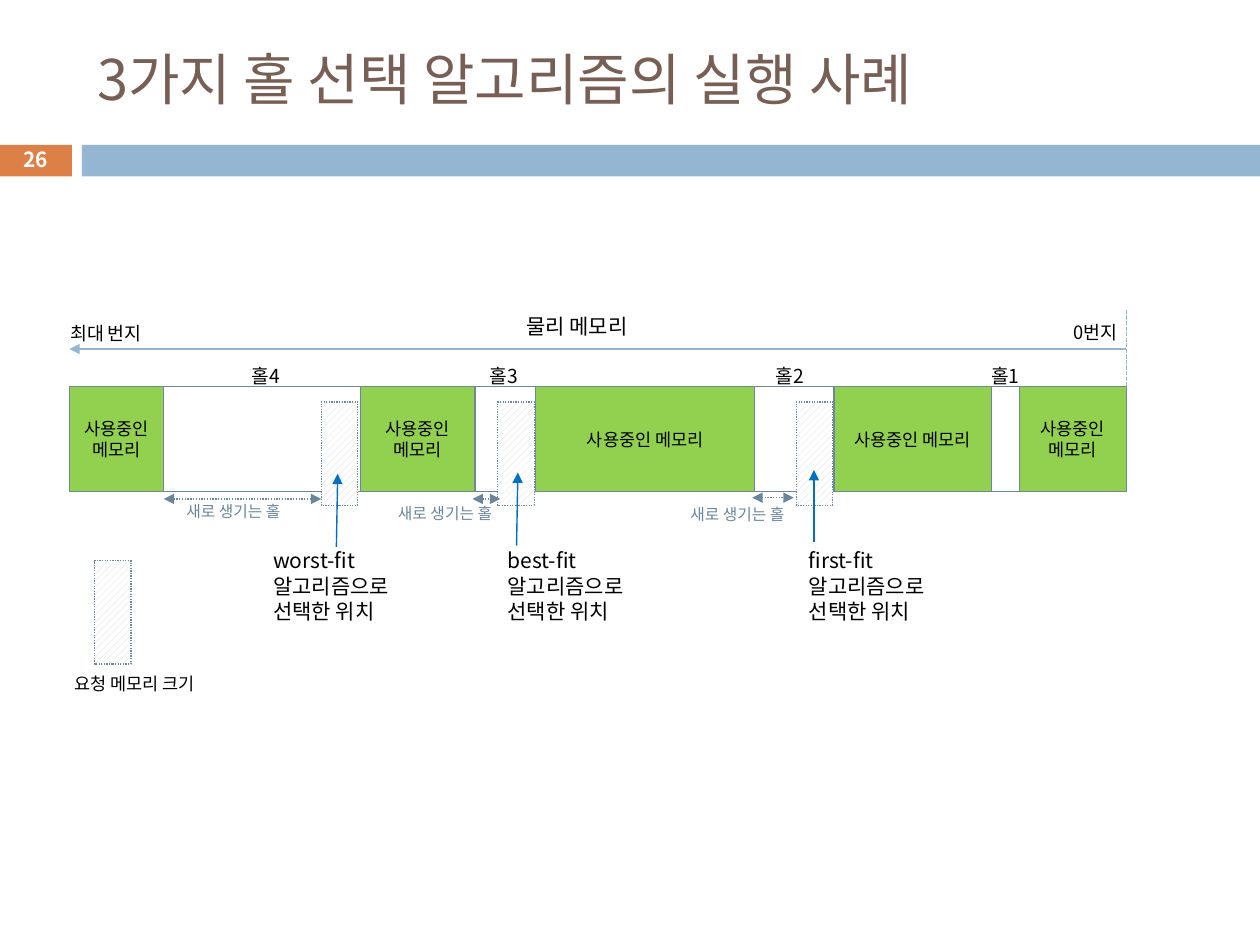
from lxml.etree import SubElement
from pptx import Presentation
from pptx.dml.color import RGBColor
from pptx.enum.dml import MSO_LINE_DASH_STYLE as DASH, MSO_PATTERN_TYPE as PATTERN
from pptx.enum.shapes import MSO_CONNECTOR as CONNECTOR, MSO_SHAPE as SHAPE
from pptx.enum.text import MSO_ANCHOR as ANCHOR, PP_ALIGN as ALIGN
from pptx.oxml.ns import qn
from pptx.util import Inches, Pt

FONT = "Noto Sans CJK KR"
BLACK = RGBColor(0x00, 0x00, 0x00)
WHITE = RGBColor(0xFF, 0xFF, 0xFF)
BROWN = RGBColor(0x77, 0x5F, 0x55)
ORANGE = RGBColor(0xDD, 0x80, 0x47)
SKY = RGBColor(0x94, 0xB6, 0xD2)
GREEN = RGBColor(0x92, 0xD0, 0x50)
SLATE = RGBColor(0x6D, 0x87, 0x9B)
STEEL = RGBColor(0x6B, 0x85, 0x9A)
BLUE = RGBColor(0x00, 0x70, 0xC0)
HATCH = RGBColor(0xD9, 0xD9, 0xD9)

MEMORY_TOP, MEMORY_HEIGHT = 3.07, 0.83
# Used blocks and holes alternate between these edges, used block first.
MEMORY_EDGES = [0.55, 1.3, 2.86, 3.77, 4.25, 5.99, 6.62, 7.87, 8.09, 8.94]
HOLE_LABELS = [("홀4", 1.89), ("홀3", 3.78), ("홀2", 6.05), ("홀1", 7.76)]
REQUEST_WIDTH, REQUEST_HEIGHT = 0.29, 0.82
# algorithm, label left, request left, pointer (from, to), new hole (start, end, y), its label (left, top)
FITS = [
    ("worst-fit", 2.07, 2.55, ((2.67, 4.34), (2.68, 3.76)), (1.3, 2.55, 3.96), (1.38, 3.93)),
    ("best-fit", 3.93, 3.95, ((4.1, 4.33), (4.11, 3.75)), (3.75, 3.97, 3.96), (3.06, 3.95)),
    ("first-fit", 6.32, 6.32, ((6.46, 4.3), (6.46, 3.73)), (5.97, 6.3, 3.95), (5.38, 3.96)),
]


class MemorySlide:
    def __init__(self, presentation):
        self.slide = presentation.slides.add_slide(presentation.slide_layouts[5])
        self.shapes = self.slide.shapes

    def add_lines(self, frame, lines, size, color=BLACK, align=ALIGN.LEFT, bold=False):
        for number, line in enumerate(lines):
            paragraph = frame.paragraphs[0] if number == 0 else frame.add_paragraph()
            paragraph.alignment = align
            run = paragraph.add_run()
            run.text = line
            for key, value in {"name": FONT, "size": Pt(size), "bold": bold}.items():
                setattr(run.font, key, value)
            run.font.color.rgb = color
            SubElement(run.font._element, qn("a:ea"), typeface=FONT)

    def title(self, text, left, top, width, height):
        title = self.shapes.title
        place = {"left": left, "top": top, "width": width, "height": height}
        for key, value in place.items():
            setattr(title, key, Inches(value))
        title.text_frame.vertical_anchor = ANCHOR.MIDDLE
        self.add_lines(title.text_frame, [text], 32, BROWN)

    def box(self, left, top, width, height, fill, line=None):
        box = self.shapes.add_shape(SHAPE.RECTANGLE, *map(Inches, (left, top, width, height)))
        box.shadow.inherit = False
        if fill is None:
            box.fill.background()
        else:
            box.fill.solid()
            box.fill.fore_color.rgb = fill
        if line is None:
            box.line.fill.background()
        else:
            box.line.color.rgb = line
            box.line.width = Pt(0.75)
        return box

    def used_memory(self, left, width):
        block = self.box(left, MEMORY_TOP, width, MEMORY_HEIGHT, GREEN, SLATE)
        frame = block.text_frame
        frame.margin_left = frame.margin_right = 0
        frame.vertical_anchor = ANCHOR.MIDDLE
        lines = ["사용중인 메모리"] if width > 1 else ["사용중인", "메모리"]
        self.add_lines(frame, lines, 10, align=ALIGN.CENTER)

    def request(self, left, top):
        block = self.box(left, top, REQUEST_WIDTH, REQUEST_HEIGHT, WHITE, STEEL)
        block.fill.patterned()
        block.fill.pattern = PATTERN.WIDE_UPWARD_DIAGONAL
        block.fill.fore_color.rgb = HATCH
        block.fill.back_color.rgb = WHITE
        block.line.dash_style = DASH.ROUND_DOT

    def label(self, lines, left, top, width, height, size, wrap=False, anchor=ANCHOR.TOP, **style):
        label = self.shapes.add_textbox(*map(Inches, (left, top, width, height)))
        label.text_frame.word_wrap = wrap
        label.text_frame.vertical_anchor = anchor
        self.add_lines(label.text_frame, lines, size, **style)

    def line(self, start, end, color, dash=None, arrows=()):
        """Draw a line; arrows names the ends that get a triangle: headEnd, tailEnd."""
        line = self.shapes.add_connector(CONNECTOR.STRAIGHT, *map(Inches, (*start, *end)))
        line.line.color.rgb = color
        line.line.width = Pt(0.79)
        if dash is not None:
            line.line.dash_style = dash
        properties = line._element.spPr
        for arrow in arrows:
            SubElement(properties.find(qn("a:ln")), qn(f"a:{arrow}"), type="triangle")
        SubElement(properties, qn("a:effectLst"))


def main():
    presentation = Presentation()
    presentation.slide_width, presentation.slide_height = Inches(10), Inches(7.5)
    page = MemorySlide(presentation)

    page.box(-0.01, 1.15, 0.58, 0.25, ORANGE)
    page.box(0.65, 1.15, 9.35, 0.25, SKY)
    page.title("3가지 홀 선택 알고리즘의 실행 사례", 0.67, 0.25, 8.92, 0.74)
    page.label(["26"], -0.01, 1.13, 0.58, 0.27, 11.9, wrap=True, anchor=ANCHOR.MIDDLE,
               color=WHITE, align=ALIGN.CENTER, bold=True)

    low, high = MEMORY_EDGES[0], MEMORY_EDGES[-1]
    page.box(low, MEMORY_TOP, high - low, MEMORY_HEIGHT, None, SLATE)
    spans = [(left, right - left) for left, right in zip(MEMORY_EDGES, MEMORY_EDGES[1:])]
    for left, width in spans[::2]:
        page.used_memory(left, width)
    for left, width in spans[1::2]:
        page.box(left, MEMORY_TOP, width, MEMORY_HEIGHT, WHITE, SLATE)

    page.line((high, 2.46), (high, 3.09), SKY, DASH.SQUARE_DOT)
    page.line((high, 2.77), (low, 2.77), SKY, arrows=["tailEnd"])
    page.label(["0번지"], 8.42, 2.5, 0.59, 0.29, 10.5)
    page.label(["물리 메모리"], 4.08, 2.44, 1.1, 0.3, 12)
    page.label(["최대 번지"], 0.46, 2.51, 0.84, 0.28, 10.5)

    for _, _, request_left, *_ in FITS:
        page.request(request_left, 3.19)
    for name, left in HOLE_LABELS:
        page.label([name], left, 2.84, 0.44, 0.29, 11, wrap=True, align=ALIGN.CENTER)

    page.request(0.75, 4.45)
    page.label(["요청 메모리 크기"], 0.43, 5.29, 1.28, 0.27, 10, align=ALIGN.CENTER)

    for name, label_left, _, pointer, (start, end, y), new_hole in FITS:
        page.label([name, "알고리즘으로", "선택한 위치"], label_left, 4.3, 1.21, 0.71, 12)
        page.line((start, y), (end, y), STEEL, DASH.ROUND_DOT, ["headEnd", "tailEnd"])
        page.label(["새로 생기는 홀"], *new_hole, 1.05, 0.25, 9, color=STEEL)
        page.line(*pointer, BLUE, arrows=["tailEnd"])

    presentation.save("out.pptx")


if __name__ == "__main__":
    main()
